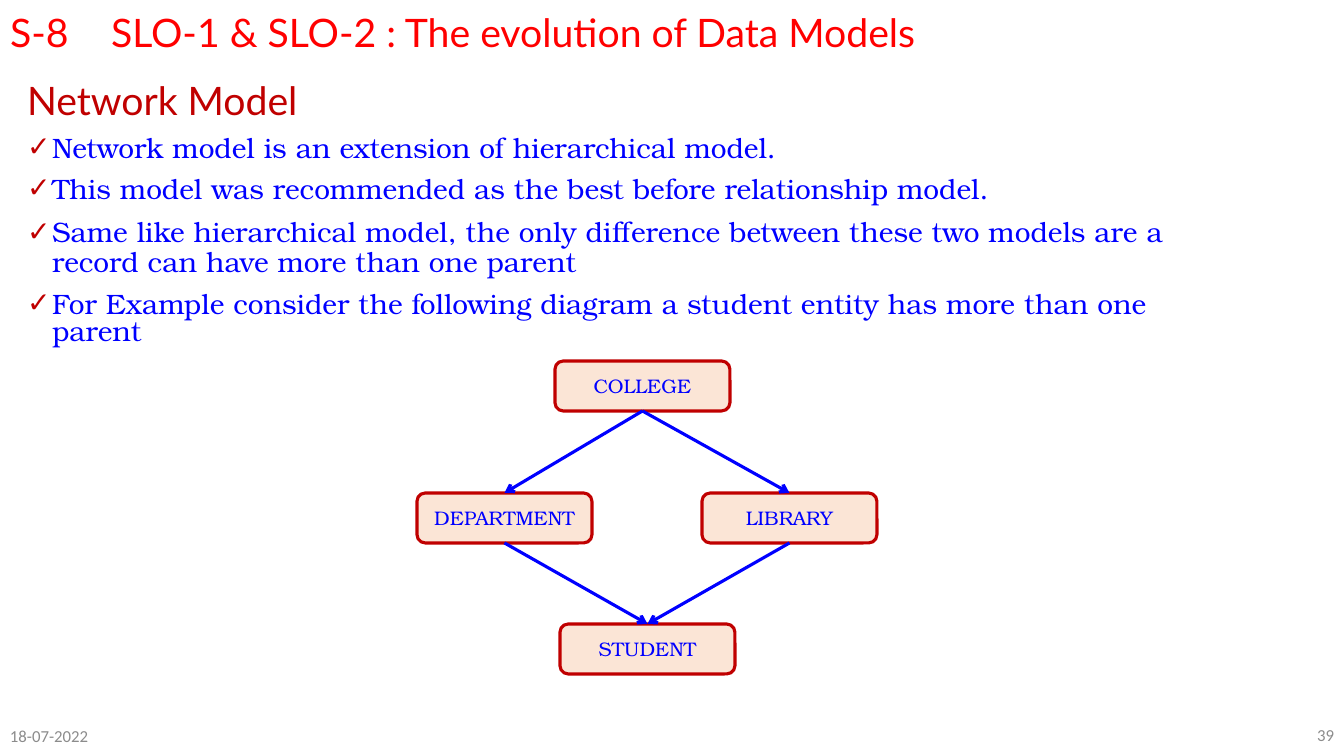
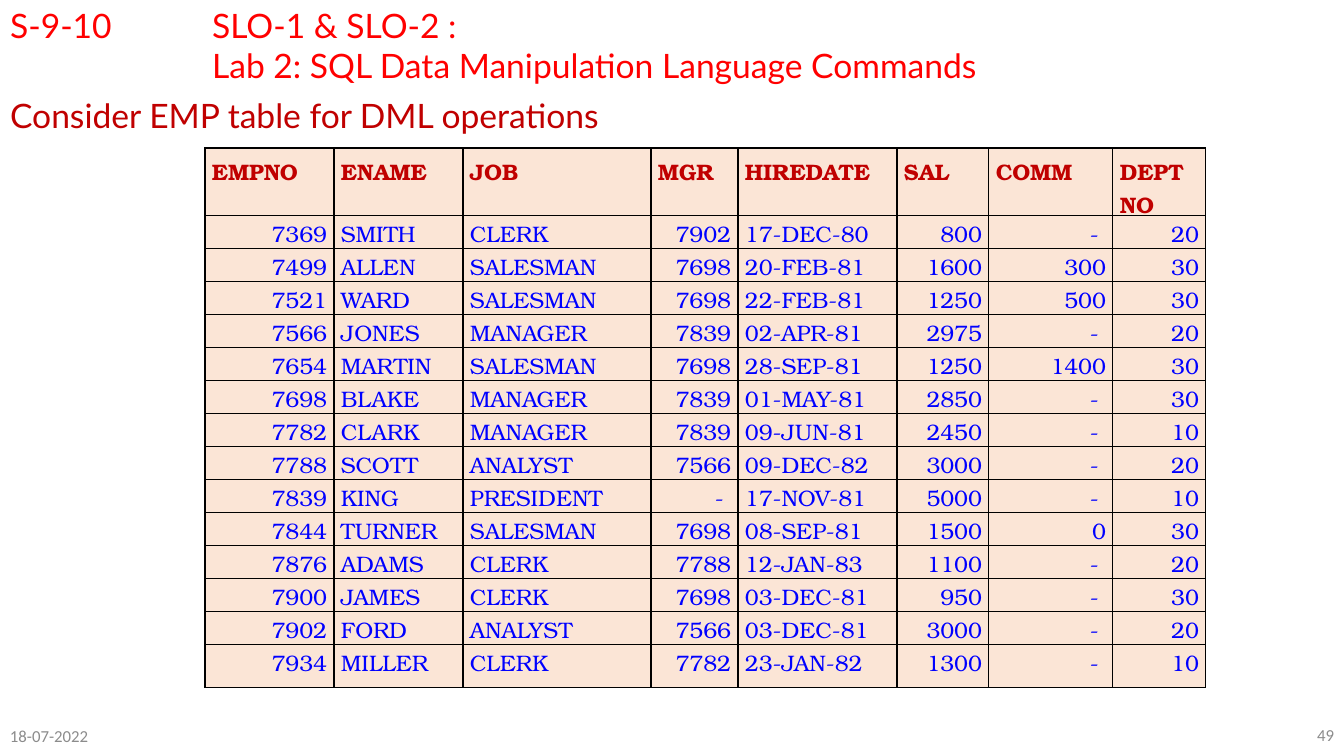
import pptx
import pptx.util
import pptx.dml.color
import pptx.enum.dml
import pptx.enum.shapes
import pptx.enum.text
import pptx.oxml.ns
from lxml import etree

PX = 914400 / 100.8  # EMU in one px

RED = pptx.dml.color.RGBColor(0xFF, 0x00, 0x00)
DARK_RED = pptx.dml.color.RGBColor(0xC0, 0x00, 0x00)
BLUE = pptx.dml.color.RGBColor(0x00, 0x00, 0xFF)
PEACH = pptx.dml.color.RGBColor(0xFB, 0xE5, 0xD6)
GREY = pptx.dml.color.RGBColor(0x8C, 0x8C, 0x8C)
BLACK = pptx.dml.color.RGBColor(0x00, 0x00, 0x00)

HEADING_FONT = "Lato"
TEXT_FONT = "TeX Gyre Bonum"
FOOTER_FONT = "Calibri"

LEFT = pptx.enum.text.PP_ALIGN.LEFT
CENTER = pptx.enum.text.PP_ALIGN.CENTER
RIGHT = pptx.enum.text.PP_ALIGN.RIGHT
TOP = pptx.enum.text.MSO_ANCHOR.TOP
MIDDLE = pptx.enum.text.MSO_ANCHOR.MIDDLE


def px(length):
    return pptx.util.Emu(round(length * PX))


def add_xml(parent, tag, **attributes):
    return etree.SubElement(parent, pptx.oxml.ns.qn(tag), attributes)


class Deck:
    """Holds the shared style and the slide being filled."""

    def __init__(self):
        self.prs = pptx.Presentation()
        self.prs.slide_width, self.prs.slide_height = px(1344), px(756)
        self.slide = None

    def new_slide(self, number):
        self.slide = self.prs.slides.add_slide(self.prs.slide_layouts[1])
        self.footer("18-07-2022", 0, 716, LEFT)
        self.footer(number, 899, 715, RIGHT)

    def style(self, paragraph, font, size, color, align=LEFT, bold=False):
        paragraph.alignment = align
        for run in paragraph.runs:
            run.font.name = font
            run.font.size = pptx.util.Pt(size)
            run.font.color.rgb = color
            run.font.bold = bold

    def place(self, holder, left, top, width, height):
        holder.left, holder.top = px(left), px(top)
        holder.width, holder.height = px(width), px(height)
        frame = holder.text_frame
        frame.word_wrap = True
        frame.auto_size = pptx.enum.text.MSO_AUTO_SIZE.NONE
        frame.vertical_anchor = TOP
        return frame

    def footer(self, text, left, top, align):
        box = self.slide.shapes.add_textbox(px(left), px(top), px(445), px(40))
        frame = box.text_frame
        frame.word_wrap = True
        frame.vertical_anchor = MIDDLE
        frame.text = text
        self.style(frame.paragraphs[0], FOOTER_FONT, 12, GREY, align)

    def title(self, text, top, height, size, tab_stops):
        frame = self.place(self.slide.shapes.title, 0, top, 1210, height)
        frame.text = text
        for paragraph in frame.paragraphs:
            tabs = add_xml(paragraph._p.get_or_add_pPr(), "a:tabLst")
            for stop in tab_stops:
                add_xml(tabs, "a:tab", pos=str(px(stop)), algn="l")
            self.style(paragraph, HEADING_FONT, size, RED)

    def body(self, heading, size, spacing, left, top, height, points=()):
        """Write a heading and, below it, (text, line spacing) points."""
        frame = self.place(self.slide.placeholders[1], left, top, 1159, height)
        for index, (text, spacing) in enumerate([(heading, spacing), *points]):
            paragraph = frame.paragraphs[0] if index == 0 else frame.add_paragraph()
            paragraph.text = text
            props = paragraph._p.get_or_add_pPr()
            props.set("marL", str(px(25)))
            props.set("indent", str(px(-25)))
            if index == 0:
                add_xml(props, "a:buNone")
                self.style(paragraph, HEADING_FONT, size, DARK_RED)
            else:
                add_xml(add_xml(props, "a:buClr"), "a:srgbClr", val=str(DARK_RED))
                add_xml(props, "a:buChar", char="✓")
                self.style(paragraph, TEXT_FONT, 20, BLUE)
            paragraph.line_spacing = spacing
            paragraph.space_before = pptx.util.Pt(10 if index else 0)

    def entity(self, text, left, top):
        box = self.slide.shapes.add_shape(
            pptx.enum.shapes.MSO_SHAPE.ROUNDED_RECTANGLE,
            px(left), px(top), px(175), px(50))
        box.shadow.inherit = False
        box.fill.solid()
        box.fill.fore_color.rgb = PEACH
        box.line.color.rgb = DARK_RED
        box.line.width = pptx.util.Pt(2.25)
        box.text_frame.vertical_anchor = MIDDLE
        box.text_frame.text = text
        self.style(box.text_frame.paragraphs[0], TEXT_FONT, 14, BLUE, CENTER)
        return box

    def arrow(self, parent, child):
        """Join the bottom of the parent to the top of the child."""
        link = self.slide.shapes.add_connector(
            pptx.enum.shapes.MSO_CONNECTOR.STRAIGHT, 0, 0, 0, 0)
        link.begin_connect(parent, 2)
        link.end_connect(child, 0)
        link.line.color.rgb = BLUE
        link.line.width = pptx.util.Pt(2.25)
        add_xml(link.line._get_or_add_ln(), "a:tailEnd", type="arrow")
        add_xml(link._element.spPr, "a:effectLst")

    def cell(self, cell, text, margin, color, align, bold):
        cell.margin_left = cell.margin_right = px(7)
        cell.margin_top = cell.margin_bottom = px(margin)
        cell.text = text
        self.style(cell.text_frame.paragraphs[0], TEXT_FONT, 16, color, align, bold)
        props = cell._tc.get_or_add_tcPr()
        for side in ("a:lnL", "a:lnR", "a:lnT", "a:lnB"):
            border = add_xml(props, side, w=str(pptx.util.Pt(1)))
            add_xml(add_xml(border, "a:solidFill"), "a:srgbClr", val=str(BLACK))
        cell.fill.solid()
        cell.fill.fore_color.rgb = PEACH

    def table(self, rows, left, top, widths, heights, number_columns):
        table = self.slide.shapes.add_table(
            len(rows), len(widths), px(left), px(top),
            px(sum(widths)), px(sum(heights))).table
        table.first_row = table.horz_banding = False
        for column, width in zip(table.columns, widths):
            column.width = px(width)
        for r, (row, height) in enumerate(zip(rows, heights)):
            table.rows[r].height = px(height)
            for c, text in enumerate(row):
                if r == 0:
                    self.cell(table.cell(r, c), text, 7, DARK_RED, LEFT, True)
                else:
                    align = RIGHT if c in number_columns else LEFT
                    self.cell(table.cell(r, c), text, 3, BLUE, align, False)


POINTS = [
    ("Network model is an extension of hierarchical model.", 0.8),
    ("This model was recommended as the best before relationship model.", 0.8),
    ("Same like hierarchical model, the only difference between these two models "
     "are a record can have more than one parent", 0.9),
    ("For Example consider the following diagram a student entity has more than "
     "one parent", 0.8),
]

EMPLOYEES = [
    ("EMPNO", "ENAME", "JOB", "MGR", "HIREDATE", "SAL", "COMM", "DEPTNO"),
    ("7369", "SMITH", "CLERK", "7902", "17-DEC-80", "800", "- ", "20"),
    ("7499", "ALLEN", "SALESMAN", "7698", "20-FEB-81", "1600", "300", "30"),
    ("7521", "WARD", "SALESMAN", "7698", "22-FEB-81", "1250", "500", "30"),
    ("7566", "JONES", "MANAGER", "7839", "02-APR-81", "2975", "- ", "20"),
    ("7654", "MARTIN", "SALESMAN", "7698", "28-SEP-81", "1250", "1400", "30"),
    ("7698", "BLAKE", "MANAGER", "7839", "01-MAY-81", "2850", "- ", "30"),
    ("7782", "CLARK", "MANAGER", "7839", "09-JUN-81", "2450", "- ", "10"),
    ("7788", "SCOTT", "ANALYST", "7566", "09-DEC-82", "3000", "- ", "20"),
    ("7839", "KING", "PRESIDENT", "- ", "17-NOV-81", "5000", "- ", "10"),
    ("7844", "TURNER", "SALESMAN", "7698", "08-SEP-81", "1500", "0", "30"),
    ("7876", "ADAMS", "CLERK", "7788", "12-JAN-83", "1100", "- ", "20"),
    ("7900", "JAMES", "CLERK", "7698", "03-DEC-81", "950", "- ", "30"),
    ("7902", "FORD", "ANALYST", "7566", "03-DEC-81", "3000", "- ", "20"),
    ("7934", "MILLER", "CLERK", "7782", "23-JAN-82", "1300", "- ", "10"),
]


def main():
    deck = Deck()

    # Network model: points above the entity diagram
    deck.new_slide("39")
    deck.title("S-8\tSLO-1 & SLO-2 : The evolution of Data Models", 3, 57, 28, [101])
    deck.body("Network Model", 28, 0.8, 17, 80, 284, POINTS)
    college = deck.entity("COLLEGE", 555, 361)
    student = deck.entity("STUDENT", 560, 624)
    department = deck.entity("DEPARTMENT", 417, 493)
    library = deck.entity("LIBRARY", 702, 493)
    for middle in (department, library):
        deck.arrow(college, middle)
        deck.arrow(middle, student)

    # EMP table
    deck.new_slide("49")
    deck.title("S-9-10\tSLO-1 & SLO-2 :\n"
               "\t\tLab 2: SQL Data Manipulation Language Commands",
               0, 92, 24, [90, 202])
    deck.body("Consider EMP table for DML operations", 24, 0.9, 0, 94, 47)
    deck.table(EMPLOYEES, 205, 148,
               widths=[129, 129, 188, 87, 159, 92, 124, 93],
               heights=[67] + [33] * 13 + [43],
               number_columns={0, 3, 5, 6, 7})

    deck.prs.save("out.pptx")


if __name__ == "__main__":
    main()
